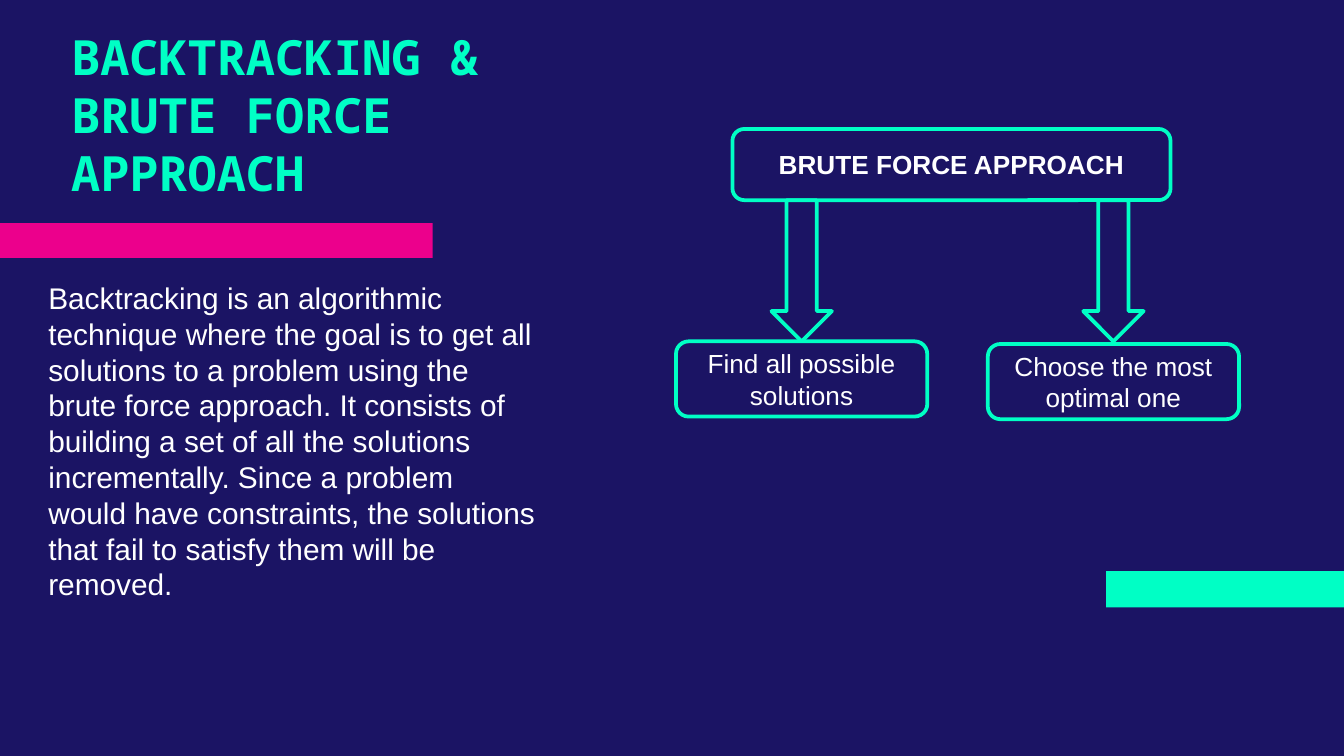
from pptx import Presentation
from pptx.dml.color import RGBColor
from pptx.enum.shapes import MSO_SHAPE as Shape
from pptx.enum.text import MSO_ANCHOR as Anchor, MSO_AUTO_SIZE as AutoSize, PP_ALIGN as Align
from pptx.util import Inches, Pt
from lxml import etree

COLORS = {"navy": "1B1464", "pink": "EC008C", "mint": "00FFC5", "white": "FFFFFF"}


def add_block(kind, box, fill, line=None):
    block = slide.shapes.add_shape(kind, *map(Inches, box))
    block.shadow.inherit = False
    block.fill.solid()
    block.fill.fore_color.rgb = RGBColor.from_string(COLORS[fill])
    if line:
        block.line.color.rgb = RGBColor.from_string(COLORS[line])
        block.line.width = Pt(2)
    else:
        block.line.fill.background()
    return block


def write(holder, text, font_name, size, color, bold, align, anchor):
    frame = holder.text_frame
    frame.text = text
    frame.word_wrap = True
    frame.auto_size = AutoSize.NONE
    frame.vertical_anchor = anchor
    paragraph = frame.paragraphs[0]
    paragraph.alignment = align
    paragraph.space_before = Pt(0)
    paragraph.font.name = font_name
    paragraph.font.size = Pt(size)
    paragraph.font.bold = bold
    paragraph.font.color.rgb = RGBColor.from_string(COLORS[color])
    return frame


# Widescreen 16:9 slide
prs = Presentation()
prs.slide_width = Inches(10)
prs.slide_height = prs.slide_width * 9 // 16
slide = prs.slides.add_slide(prs.slide_layouts[1])
slide.background.fill.solid()
slide.background.fill.fore_color.rgb = RGBColor.from_string(COLORS["navy"])

# Accent bars
add_block(Shape.RECTANGLE, (0, 1.66, 3.22, 0.26), "pink")
add_block(Shape.RECTANGLE, (8.23, 4.25, 1.77, 0.27), "mint")

# Title and definition
title, definition = slide.shapes.title, slide.placeholders[1]
title_frame = write(title, "BACKTRACKING & BRUTE FORCE APPROACH",
                    "Noto Sans Mono", 26, "mint", True, Align.LEFT, Anchor.TOP)
definition_frame = write(
    definition,
    "Backtracking is an algorithmic technique where the goal is to get all "
    "solutions to a problem using the brute force approach. It consists of "
    "building a set of all the solutions incrementally. Since a problem would "
    "have constraints, the solutions that fail to satisfy them will be removed.",
    "Arial", 16, "white", False, Align.LEFT, Anchor.TOP)

for holder, box in ((title, (0.43, 0.1, 3.89, 0.73)), (definition, (0.26, 1.98, 3.84, 2.33))):
    holder.left, holder.top, holder.width, holder.height = map(Inches, box)
for frame in (title_frame, definition_frame):
    frame.margin_left = frame.margin_right = Inches(0.1)
    frame.margin_top = frame.margin_bottom = Inches(0.1)

# Definition reads as plain text, without bullet or hanging indent
properties = definition_frame.paragraphs[0]._p.get_or_add_pPr()
properties.set("marL", "0")
properties.set("indent", "0")
bullet_tag = "{http://schemas.openxmlformats.org/drawingml/2006/main}buNone"
properties.find("{*}defRPr").addprevious(etree.Element(bullet_tag))

# Diagram: the approach leads to two steps
approach = add_block(Shape.ROUNDED_RECTANGLE, (5.45, 0.96, 3.26, 0.53), "navy", "mint")
write(approach, "BRUTE FORCE APPROACH", "Arial", 14, "white", True, Align.CENTER, Anchor.MIDDLE)

steps = [
    ("Find all possible solutions", 5.03, 2.54),
    ("Choose the most optimal one", 7.35, 2.56),
]
for text, left, top in steps:
    add_block(Shape.DOWN_ARROW, (left + 0.71, 1.49, 0.45, 1.05), "navy", "mint")
    step = add_block(Shape.ROUNDED_RECTANGLE, (left, top, 1.87, 0.56), "navy", "mint")
    write(step, text, "Arial", 14, "white", False, Align.CENTER, Anchor.MIDDLE)

prs.save("out.pptx")
